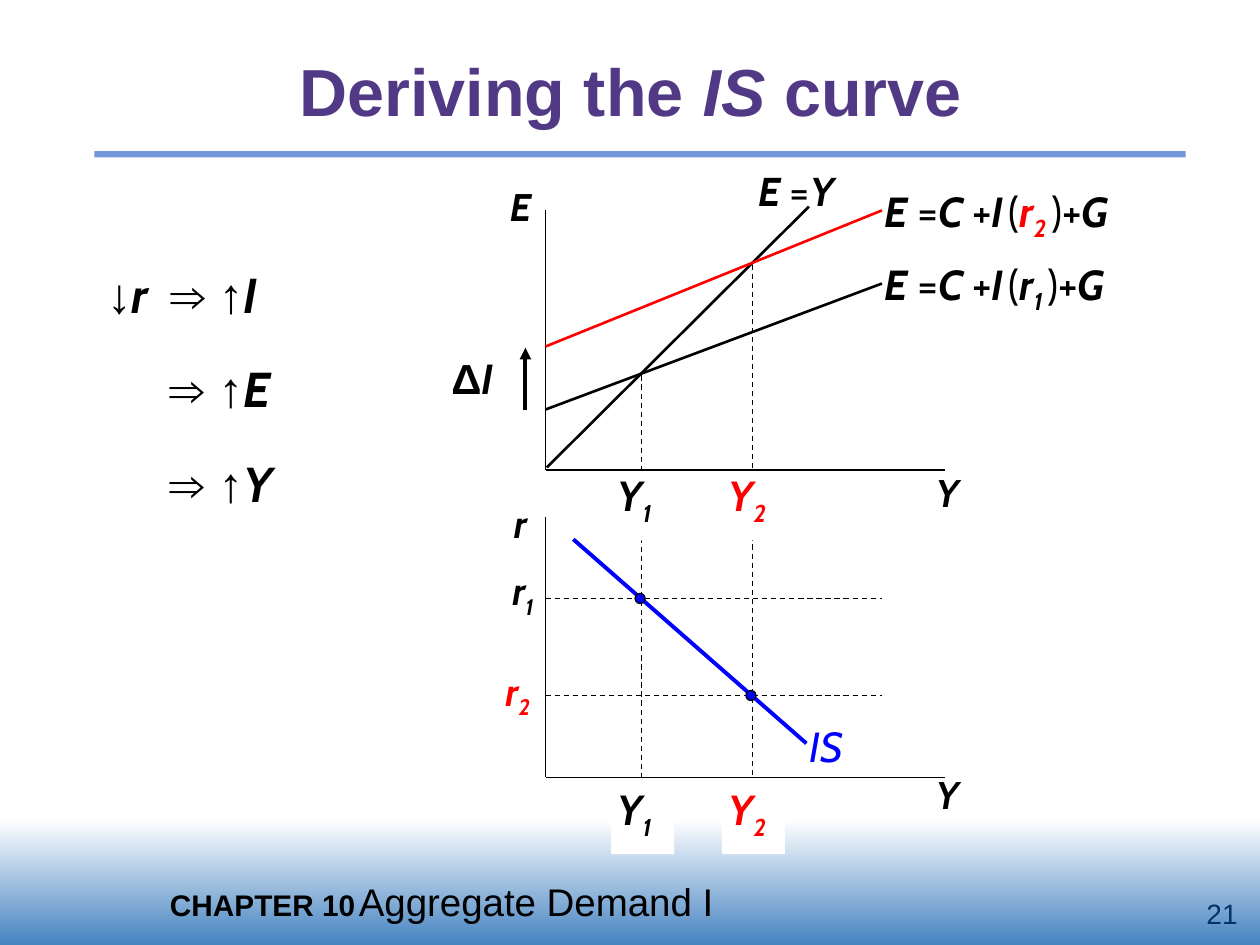
from lxml import etree
from pptx import Presentation
from pptx import util as u
from pptx.dml.color import RGBColor
from pptx.enum import dml, shapes, text
from pptx.oxml.ns import qn

THEME = {
    "ink": "000000", "paper": "FFFFFF", "red": "FF0000", "blue": "0000FF",
    "title": "523985", "rule": "7598DD", "foot": "4583C1", "number": "003366",
    "sans": "Arial", "math": "Cabin",
    "title_size": 38, "step_size": 28, "label_size": 24, "identity_size": 23,
    "axis_size": 22, "footer_size": 22, "chapter_size": 17,
    "number_size": 16, "gap_size": 12,
}
ALIGN = {"l": text.PP_ALIGN.LEFT, "c": text.PP_ALIGN.CENTER, "r": text.PP_ALIGN.RIGHT}

ORIGIN_X, AXIS_END = 4.33, 7.5
TOP_BASE, LOW_BASE = 3.73, 6.17
Y1, Y2, R1, R2 = 5.09, 5.97, 4.75, 5.52

TITLE = [("Deriving the ", "b"), ("IS", "bi"), (" curve", "b")]
FOOTER = [("CHAPTER 10\t", "b", {"size": "chapter_size"}), ("Aggregate Demand I", "")]
STEPS = [
    ((0.75, 2, 2.25, 0.75), 1,
     [("↓", ""), ("r\t", "mbi"), ("⇒ ↑", ""), ("I", "mbi")]),
    ((0.75, 2.75, 2.25, 0.92), 0.76, [("\t⇒ ↑", ""), ("E", "mbi")]),
    ((0.75, 3.5, 2.25, 0.83), 0.76, [("\t⇒ ↑", ""), ("Y", "mbi")]),
]
OUTPUTS = [(Y2, "2", "red"), (Y1, "1", "ink")]
PANELS = [(1.67, TOP_BASE, "E", 1.4, 3.67), (4.1, LOW_BASE, "r", 3.92, 6.07)]
CURVES = [
    ((4.34, 3.71), (6.42, 1.64), "ink", 1.5),
    ((ORIGIN_X, 3.25), (7, 2.25), "ink", 1.5),
    ((ORIGIN_X, 2.75), (7, 1.67), "red", 1.5),
    ((4.55, 4.28), (6.4, 5.9), "blue", 2.25),
]
SPENDING = [(2, "1", "ink"), (1.42, "2", "red")]
RATES = [(3.9, 4.45, "1", "ink"), (3.86, 5.25, "2", "red")]
IDENTITY = [("E ", "mbi"), ("=", "m"), ("Y", "mbi")]


def color(name):
    return RGBColor.from_string(THEME[name])


def inches(values):
    return [u.Inches(v) for v in values]


def symbol(letter, index, tint):
    return [(letter, "mbi", {"color": tint}), (index, "mbis", {"color": tint})]


def spending_runs(index, tint):
    gap = (" ", "mbi", {"size": "gap_size"})
    return [("E ", "mbi"), ("=", "m"), ("C ", "mbi"), ("+", "m"), ("I", "mbi"), gap,
            ("(", "m"), *symbol("r", index, tint), gap, (")+", "m"), ("G", "mbi")]


def write(frame, runs, size, tint="ink", align="l", before=0, spacing=None,
          insets=(0.1, 0.05, 0.1, 0.05), anchor=text.MSO_ANCHOR.TOP, tab=None):
    frame.word_wrap = True
    frame.auto_size = text.MSO_AUTO_SIZE.NONE
    frame.vertical_anchor = anchor
    (frame.margin_left, frame.margin_top,
     frame.margin_right, frame.margin_bottom) = inches(insets)
    line = frame.paragraphs[0]
    line.alignment = ALIGN[align]
    line.space_before = u.Pt(before)
    if spacing:
        line.line_spacing = spacing
    props = line._p.get_or_add_pPr()
    props.set("marL", "0")
    props.set("indent", "0")
    etree.SubElement(props, qn("a:buNone"))
    if tab:
        stops = etree.SubElement(props, qn("a:tabLst"))
        etree.SubElement(stops, qn("a:tab"), pos=str(u.Inches(tab)), algn="l")
    for words, flags, *special in runs:
        style = {"size": size, "color": tint, **(special[0] if special else {})}
        run = line.add_run()
        run.text = words
        font = run.font
        font.name = THEME["math" if "m" in flags else "sans"]
        font.size = u.Pt(THEME[style["size"]])
        font.color.rgb = color(style["color"])
        font.bold = "b" in flags
        font.italic = "i" in flags
        if "s" in flags:
            font._element.set("baseline", "-25000")


def label(slide, at, runs, size, **options):
    box = slide.shapes.add_textbox(*inches(at))
    write(box.text_frame, runs, size, **options)
    return box


def paint(shape, tint, alpha=None):
    shape.fill.solid()
    shape.fill.fore_color.rgb = color(tint)
    if alpha:
        solid = shape._element.spPr.find(qn("a:solidFill"))
        etree.SubElement(solid[0], qn("a:alpha"), val=str(alpha * 1000))


def block(slide, at, kind=shapes.MSO_SHAPE.RECTANGLE):
    shape = slide.shapes.add_shape(kind, *inches(at))
    shape.shadow.inherit = False
    shape.line.fill.background()
    return shape


def stroke(slide, start, end, tint="ink", width=1, dashed=False, arrow=False):
    line = slide.shapes.add_connector(
        shapes.MSO_CONNECTOR.STRAIGHT, *inches(start), *inches(end))
    line.line.color.rgb = color(tint)
    line.line.width = u.Pt(width)
    if dashed:
        line.line.dash_style = dml.MSO_LINE.DASH
    if arrow:
        etree.SubElement(line.line._get_or_add_ln(), qn("a:tailEnd"), type="triangle")
    etree.SubElement(line._element.spPr, qn("a:effectLst"))


def add_frame(slide):
    band = block(slide, (0, 6.5, 10, 1))
    band.fill.gradient()
    band.fill.gradient_angle = 270
    for stop, tint, place in zip(band.fill.gradient_stops, ("paper", "foot"), (0, 1)):
        stop.color.rgb = color(tint)
        stop.position = place
    paint(block(slide, (0.75, 1.2, 8.67 - 0.01, 0.05)), "rule")
    label(slide, (1.25, 6.92, 8.33, 0.47), FOOTER, "footer_size", before=13.8, tab=1.79)
    label(slide, (8.67, 7.08, 1.25, 0.33), [("21", "")], "number_size", tint="number",
          align="r", anchor=text.MSO_ANCHOR.MIDDLE)
    title = slide.shapes.title
    title.left, title.top, title.width, title.height = inches((0.42, 0.25, 9.17, 0.92))
    write(title.text_frame, TITLE, "title_size", tint="title", align="c",
          anchor=text.MSO_ANCHOR.MIDDLE)


def add_output_labels(slide, top, height, inset_top):
    for x, index, tint in OUTPUTS:
        box = label(slide, (x - 0.24, top, 0.5, height), symbol("Y", index, tint),
                    "label_size", before=15, insets=(0.05, inset_top, 0.05, 0.1))
        paint(box, "paper")


def add_graphs(slide):
    add_output_labels(slide, LOW_BASE, 0.61, 0.05)
    for x, top in ((Y2, 2.1), (Y1, 2.98)):
        stroke(slide, (x, top), (x, LOW_BASE), width=0.75, dashed=True)
    add_output_labels(slide, TOP_BASE, 0.56, 0)
    for top, base, name, name_top, income_top in PANELS:
        stroke(slide, (ORIGIN_X, top), (ORIGIN_X, base))
        stroke(slide, (ORIGIN_X, base), (AXIS_END, base))
        label(slide, (3.92, name_top, 0.42, 0.47), [(name, "mbi")], "axis_size",
              align="c", before=1.4)
        label(slide, (7.33, income_top, 0.58, 0.47), [("Y", "mbi")], "axis_size",
              before=13.8)
    for rate in (R1, R2):
        stroke(slide, (ORIGIN_X, rate), (7, rate), width=0.75, dashed=True)
    for curve in CURVES:
        stroke(slide, *curve)
    for top, index, tint in SPENDING:
        label(slide, (6.92, top, 2.83, 0.56), spending_runs(index, tint),
              "label_size", before=15)
    for left, top, index, tint in RATES:
        label(slide, (left, top, 0.5, 0.52), symbol("r", index, tint), "axis_size",
              align="c", before=1.4)
    label(slide, (5.92, 1.27, 1.08, 0.49), IDENTITY, "identity_size", before=14.4)
    label(slide, (6.33, 5.67, 0.58, 0.5), [("IS", "mi")], "label_size", tint="blue",
          before=15)
    label(slide, (3.42, 2.75, 0.66, 0.5), [("Δ", "b"), ("I", "mbi")], "label_size",
          align="c", before=15)
    stroke(slide, (4.17, 3.25), (4.17, 2.76), width=2.25, arrow=True)
    for x, y in ((Y1, R1), (Y2, R2)):
        dot = block(slide, (x - 0.05, y - 0.04, 0.08, 0.08), shapes.MSO_SHAPE.OVAL)
        paint(dot, "blue")
        dot.line.color.rgb = color("ink")
        dot.line.width = u.Pt(0.75)


def add_steps(slide):
    for number, (at, tab, runs) in enumerate(STEPS):
        if number == 0:
            step = slide.placeholders[1]
            step.left, step.top, step.width, step.height = inches(at)
        else:
            step = block(slide, at)
        paint(step, "paper", alpha=50)
        write(step.text_frame, runs, "step_size", before=14, spacing=1.1, tab=tab)


def main():
    deck = Presentation()
    deck.slide_width, deck.slide_height = inches((10, 7.5))
    slide = deck.slides.add_slide(deck.slide_layouts[1])
    add_frame(slide)
    add_graphs(slide)
    add_steps(slide)
    deck.save("out.pptx")


if __name__ == "__main__":
    main()
